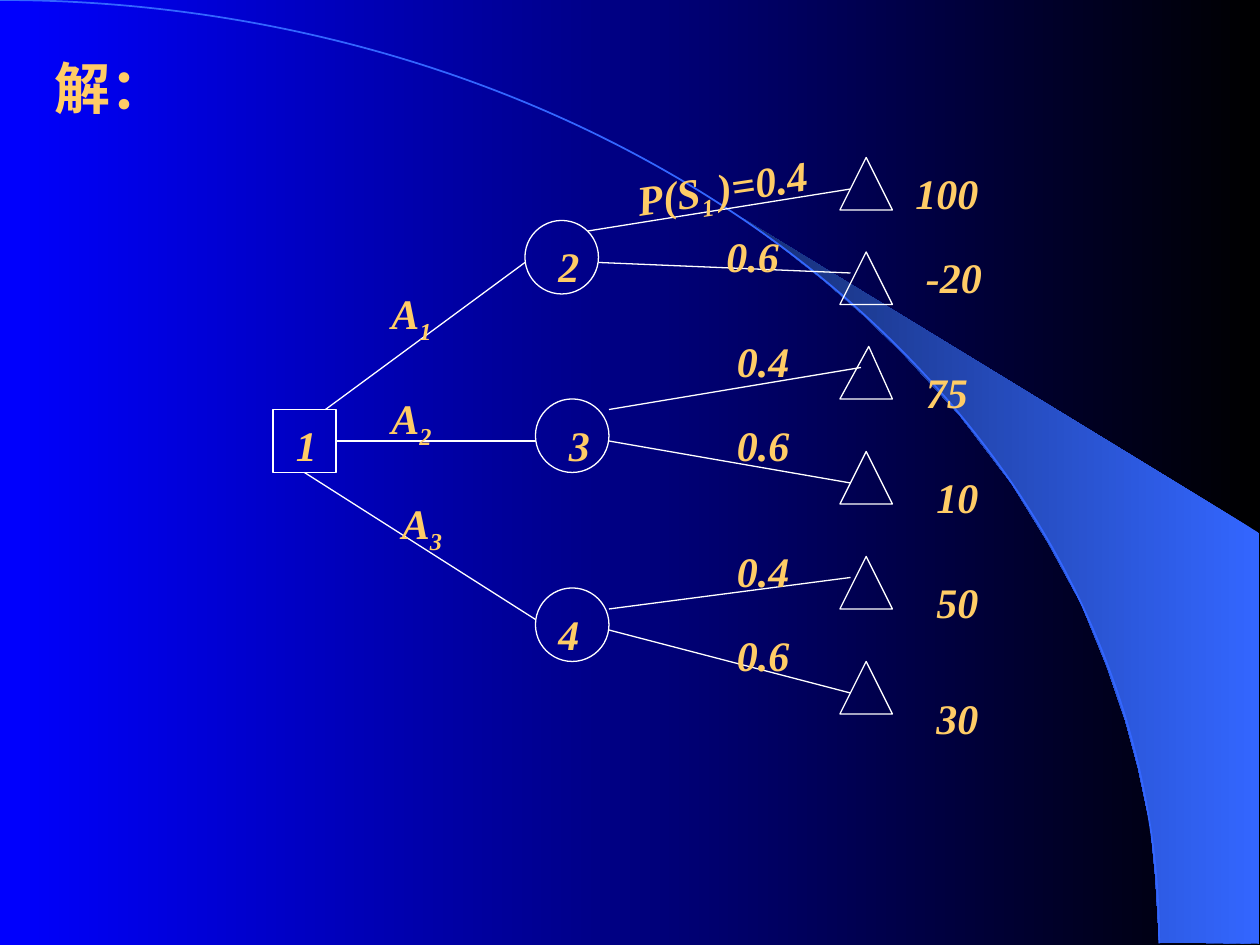
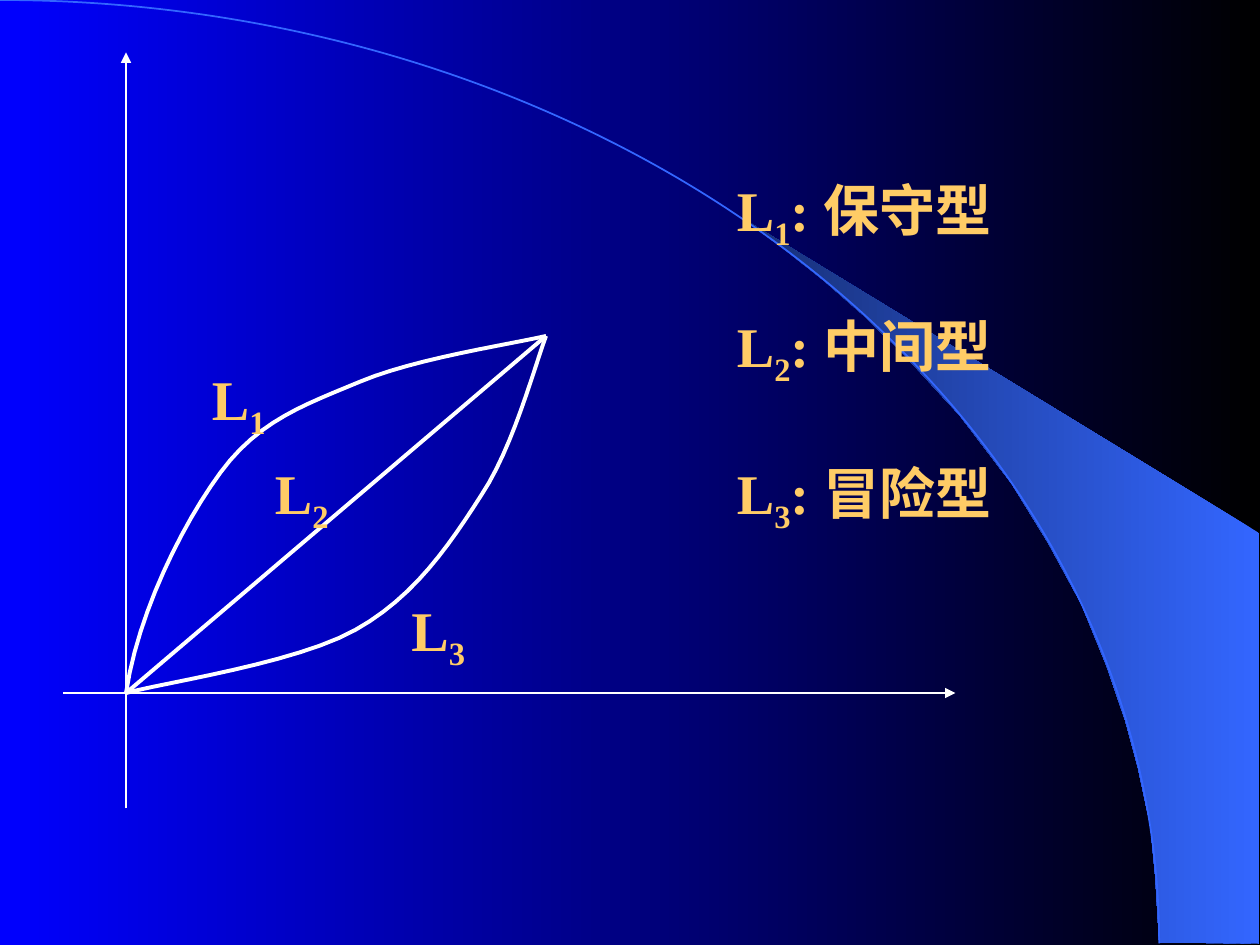
from pptx import Presentation
from pptx.dml.color import RGBColor
from pptx.enum.shapes import MSO_CONNECTOR, MSO_SHAPE
from pptx.enum.text import MSO_ANCHOR, MSO_AUTO_SIZE, PP_ALIGN
from pptx.oxml.ns import qn
from pptx.util import Pt
from lxml.etree import SubElement

WHITE = "FFFFFF"
GOLD = "FFCC66"
BLUE = "3366FF"
colour = RGBColor.from_string


def write(box, spans, size, italic=False, wrap=True):
    frame = box.text_frame
    frame.word_wrap = wrap
    frame.auto_size = MSO_AUTO_SIZE.SHAPE_TO_FIT_TEXT
    frame.vertical_anchor = MSO_ANCHOR.TOP
    para = frame.paragraphs[0]
    para.alignment = PP_ALIGN.LEFT
    para.line_spacing = 1.7
    for index, text in enumerate(spans):
        span = para.add_run()
        span.text = text
        span.font.name = "Times New Roman"
        span.font.size = Pt(size)
        span.font.bold = True
        span.font.italic = italic
        span.font.color.rgb = colour(GOLD)
        if index % 2:
            span._r.get_or_add_rPr().set("baseline", "-25000")


def draw_line(page, start, end, width=0.75, arrow=False):
    line = page.shapes.add_connector(
        MSO_CONNECTOR.STRAIGHT, Pt(start[0]), Pt(start[1]), Pt(end[0]), Pt(end[1]))
    line.line.color.rgb = colour(WHITE)
    line.line.width = Pt(width)
    if arrow:
        SubElement(line.line._get_or_add_ln(), qn("a:tailEnd"), type="triangle")
    SubElement(line._element.spPr, qn("a:effectLst"))


deck = Presentation()
deck.slide_width, deck.slide_height = Pt(720), Pt(540)
tree_page = deck.slides.add_slide(deck.slide_layouts[5])
curve_page = deck.slides.add_slide(deck.slide_layouts[6])

master = deck.slide_master
wedge_points = [
    (662.4, 538.5), (719.3, 539.3), (719.3, 304.5), (424, 124.5), (449.3, 143.3),
    (470.2, 159.8), (493.2, 180), (515.5, 201.6), (548.6, 237.6), (578.2, 276.5),
    (599, 310.3), (617.8, 344.9), (632.2, 380.2), (643, 411.8), (650.2, 438.5),
    (657.4, 472.3), (660.2, 501.1),
]
wedge_points = [(Pt(x), Pt(y)) for x, y in wedge_points]
builder = tree_page.shapes.build_freeform(*wedge_points[0])
builder.add_line_segments(wedge_points[1:], close=True)
wedge = builder.convert_to_shape()
wedge.line.fill.background()
arc = tree_page.shapes.add_shape(MSO_SHAPE.ARC, Pt(-662.4), Pt(0), Pt(1324.8), Pt(1078))
arc.fill.background()
arc.line.color.rgb = colour(BLUE)
arc.line.width = Pt(1)

for fill, stops in (
    (master.background.fill, ("000000", "0000FF")),
    (wedge.fill, (BLUE, "172F75")),
):
    fill.gradient()
    fill.gradient_angle = 180
    for stop, position, shade in zip(fill.gradient_stops, (0, 1), stops):
        stop.position = position
        stop.color.rgb = colour(shade)

for decoration in (wedge, arc):
    decoration.shadow.inherit = False
    master.shapes.element.append(decoration.element)

title = tree_page.shapes.title
title.left, title.top, title.width, title.height = Pt(24), Pt(0), Pt(204), Pt(73)
write(title, ["解："], 32)

nodes = [(MSO_SHAPE.ISOSCELES_TRIANGLE, 480, top, 30) for top in (90, 144, 198, 258, 318, 378)]
nodes += [(MSO_SHAPE.OVAL, left, top, 42) for left, top in ((306, 336), (306, 228), (300, 126))]
nodes.append((MSO_SHAPE.RECTANGLE, 156, 234, 36))
for kind, left, top, size in nodes:
    node = tree_page.shapes.add_shape(kind, Pt(left), Pt(top), Pt(size), Pt(size))
    node.shadow.inherit = False
    node.fill.background()
    node.line.color.rgb = colour(WHITE)
    node.line.width = Pt(0.75)
    if (kind, top) == (MSO_SHAPE.ISOSCELES_TRIANGLE, 198):
        node.adjustments[0] = 0.55

branches = [
    ((186, 234), (300, 150)), ((192, 252), (306, 252)), ((174, 270), (306, 354)),
    ((336, 132), (486, 108)), ((342, 150), (486, 156)),
    ((348, 234), (492, 210)), ((348, 252), (486, 276)),
    ((348, 348), (486, 330)), ((348, 360), (486, 396)),
]
for start, end in branches:
    draw_line(tree_page, start, end)

tree_labels = [
    (["100"], 516, 72, 72), (["-20"], 522, 120, 48), (["75"], 522, 186, 40),
    (["10"], 528, 246, 40), (["50"], 528, 306, 40), (["30"], 528, 372, 40),
    (["1"], 162, 216, 28), (["2"], 312, 114, 28), (["3"], 318, 216, 28), (["4"], 312, 324, 28),
    (["0.6"], 408, 108, 46), (["0.4"], 414, 168, 46), (["0.6"], 414, 216, 46),
    (["0.4"], 414, 288, 46), (["0.6"], 414, 336, 46),
    (["A", "1"], 216.5, 138, 38), (["A", "2"], 216.5, 198, 38), (["A", "3"], 222.5, 258, 38),
    (["P(S", "1 ", ")=0.4"], 355, 66, 112.5),
]
for spans, left, top, width in tree_labels:
    height = 56 if len(spans) == 1 else 63
    box = tree_page.shapes.add_textbox(Pt(left), Pt(top), Pt(width), Pt(height))
    write(box, spans, 24, italic=True, wrap=spans == ["100"])
    if len(spans) == 3:
        box.rotation = 351.4

origin, peak = (72, 396), (312, 192)
draw_line(curve_page, (72, 462), (72, 30), arrow=True)
draw_line(curve_page, (36, 396), (546, 396), arrow=True)
draw_line(curve_page, origin, peak, width=2.25)

curves = [
    [origin, (79, 350), (104, 300), (126, 270), (148, 240), (175, 231), (206, 218),
     (237, 205), (290, 197), peak],
    [origin, (94, 390), (169, 379), (203, 360), (237, 341), (257, 311), (275, 283),
     (293, 256), (305, 211), peak],
]
steps = 12
for controls in curves:
    points = []
    for first in range(0, len(controls) - 1, 3):
        for step in range(1, steps + 1):
            t = step / steps
            weights = ((1 - t) ** 3, 3 * t * (1 - t) ** 2, 3 * t * t * (1 - t), t ** 3)
            points.append(tuple(
                Pt(sum(w * point[axis] for w, point in zip(weights, controls[first:first + 4])))
                for axis in (0, 1)))
    builder = curve_page.shapes.build_freeform(Pt(origin[0]), Pt(origin[1]))
    builder.add_line_segments(points, close=False)
    curve = builder.convert_to_shape()
    curve.shadow.inherit = False
    curve.fill.background()
    curve.line.color.rgb = colour(WHITE)
    curve.line.width = Pt(2.25)

curve_types = [
    ("1", "保守型", (114, 174), 66),
    ("2", "中间型", (150, 228), 144),
    ("3", "冒险型", (228, 306), 228),
]
for number, name, (left, top), legend_top in curve_types:
    box = curve_page.shapes.add_textbox(Pt(left), Pt(top), Pt(60), Pt(81))
    write(box, ["L", number], 32)
    box = curve_page.shapes.add_textbox(Pt(414), Pt(legend_top), Pt(168), Pt(81))
    write(box, ["L", number, ": " + name], 32)

deck.save("out.pptx")
